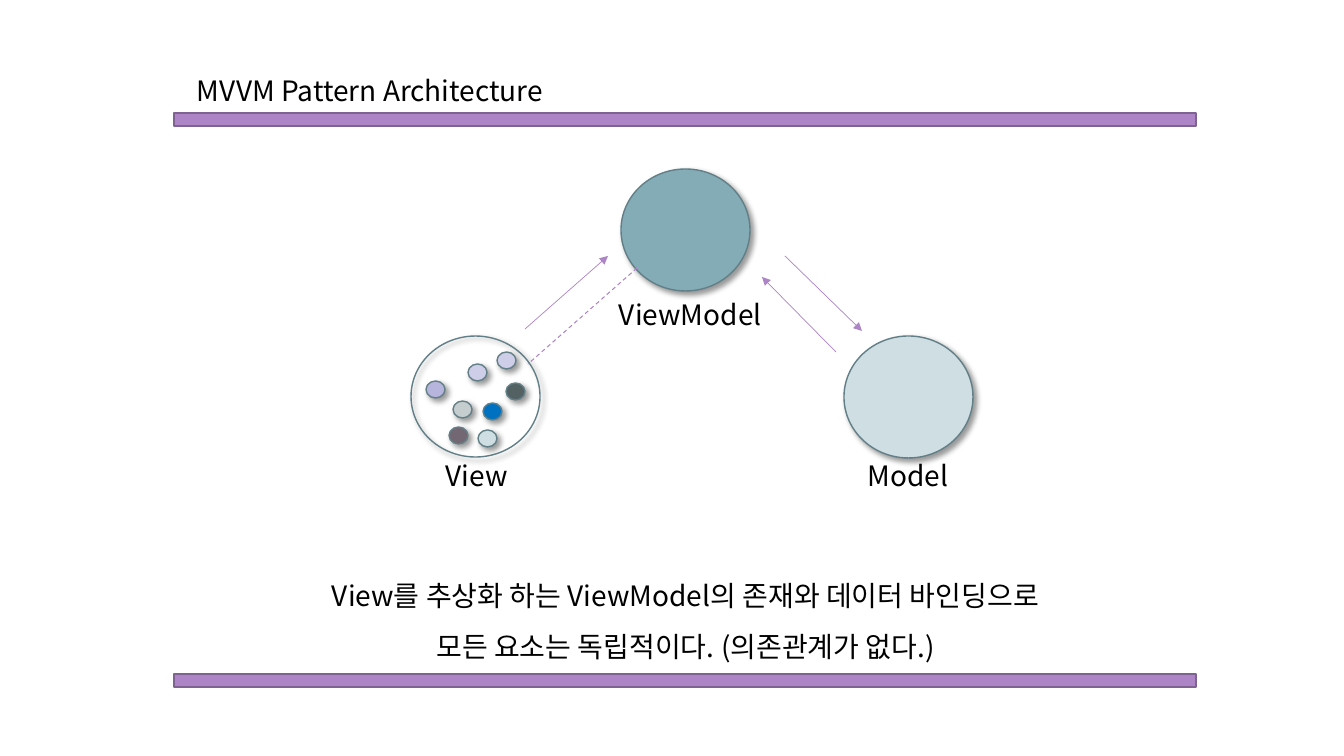
from lxml.etree import SubElement
from pptx import Presentation
from pptx.dml.color import RGBColor
from pptx.enum.dml import MSO_LINE
from pptx.enum.shapes import MSO_CONNECTOR, MSO_SHAPE
from pptx.enum.text import MSO_AUTO_SIZE, PP_ALIGN
from pptx.oxml.ns import qn
from pptx.util import Pt

FONT = "Noto Sans CJK KR"
COLORS = {
    "purple": "AD84C6", "bar_edge": "806292", "circle_edge": "627F87",
    "teal": "84ACB6", "pale_teal": "CEDEE2", "lavender": "CFCEE9",
    "lilac": "B7B5DD", "blue": "0070C0", "slate": "536162",
    "gray": "C5CDCE", "plum": "736773", "black": "000000",
}

# Boxes are left, top, width, height in px
BARS = [(174, 113, 1022, 13), (174, 674, 1022, 13)]
CIRCLES = [
    ((411, 336, 129, 121), None),
    ((621, 169, 129, 122), "teal"),
    ((844, 336, 129, 122), "pale_teal"),
]
DOT_SIZE = (19, 17)
DOTS = [
    ((497, 352), "lavender"), ((483, 403), "blue"), ((506, 383), "slate"),
    ((453, 401), "gray"), ((449, 427), "plum"), ((426, 381), "lilac"),
    ((468, 364), "lavender"), ((478, 430), "pale_teal"),
]
ARROWS = [
    ((525, 329), (608, 256)),
    ((785, 256), (862, 331)),
    ((836, 352), (762, 277)),
]
BINDING = ((637, 268), (528, 364))
# Box, lines, alignment, wrap, line spacing
TEXTS = [
    ((187, 69, 373, 44), ["MVVM Pattern Architecture"], PP_ALIGN.LEFT, False, 1.0),
    ((609, 293, 183, 44), ["ViewModel"], PP_ALIGN.LEFT, True, 1.0),
    ((432, 454, 89, 44), ["View"], PP_ALIGN.CENTER, True, 1.0),
    ((851, 454, 114, 44), ["Model"], PP_ALIGN.CENTER, True, 1.0),
    ((223, 557, 925, 106),
     ["View를 추상화 하는 ViewModel의 존재와 데이터 바인딩으로",
      "모든 요소는 독립적이다. (의존관계가 없다.)"], PP_ALIGN.CENTER, True, 1.5),
]


def px(*values):
    return [round(v * 914400 / 100.8) for v in values]


def rgb(name):
    return RGBColor.from_string(COLORS[name])


def add_block(kind, box, fill, edge):
    sp = slide.shapes.add_shape(kind, *px(*box))
    sp.shadow.inherit = False
    if fill:
        sp.fill.solid()
        sp.fill.fore_color.rgb = rgb(fill)
    else:
        sp.fill.background()
    sp.line.color.rgb = rgb(edge)
    sp.line.width = Pt(1)
    return sp


def add_circle(box, fill):
    """Draw an ellipse with a soft shadow to the lower right."""
    sp = add_block(MSO_SHAPE.OVAL, box, fill, "circle_edge")
    effects = sp._element.spPr.find(qn("a:effectLst"))
    shadow = SubElement(effects, qn("a:outerShdw"), blurRad=str(Pt(4)),
                        dist=str(Pt(3)), dir="2700000", algn="tl", rotWithShape="0")
    color = SubElement(shadow, qn("a:srgbClr"), val=COLORS["black"])
    SubElement(color, qn("a:alpha"), val="40000")


def add_line(start, end, width):
    line = slide.shapes.add_connector(MSO_CONNECTOR.STRAIGHT, *px(*start, *end))
    line.line.color.rgb = rgb("purple")
    line.line.width = Pt(width)
    SubElement(line._element.spPr, qn("a:effectLst"))
    return line


def add_text(box, lines, align, wrap, spacing):
    tf = slide.shapes.add_textbox(*px(*box)).text_frame
    tf.word_wrap = wrap
    tf.auto_size = MSO_AUTO_SIZE.SHAPE_TO_FIT_TEXT
    tf.text = "\n".join(lines)
    for p in tf.paragraphs:
        p.alignment = align
        p.line_spacing = spacing
        for r in p.runs:
            r.font.size = Pt(20)
            r.font.name = FONT
            r.font.color.rgb = rgb("black")
            SubElement(r.font._element, qn("a:ea"), typeface=FONT)


prs = Presentation()
prs.slide_width, prs.slide_height = px(1344, 756)
slide = prs.slides.add_slide(prs.slide_layouts[6])

for box in BARS:
    add_block(MSO_SHAPE.RECTANGLE, box, "purple", "bar_edge")
for box, fill in CIRCLES:
    add_circle(box, fill)
for corner, fill in DOTS:
    add_circle(corner + DOT_SIZE, fill)
for start, end in ARROWS:
    arrow = add_line(start, end, 0.5)
    SubElement(arrow.line._get_or_add_ln(), qn("a:tailEnd"), type="triangle")
add_line(*BINDING, 0.75).line.dash_style = MSO_LINE.DASH
for text in TEXTS:
    add_text(*text)

prs.save("out.pptx")
